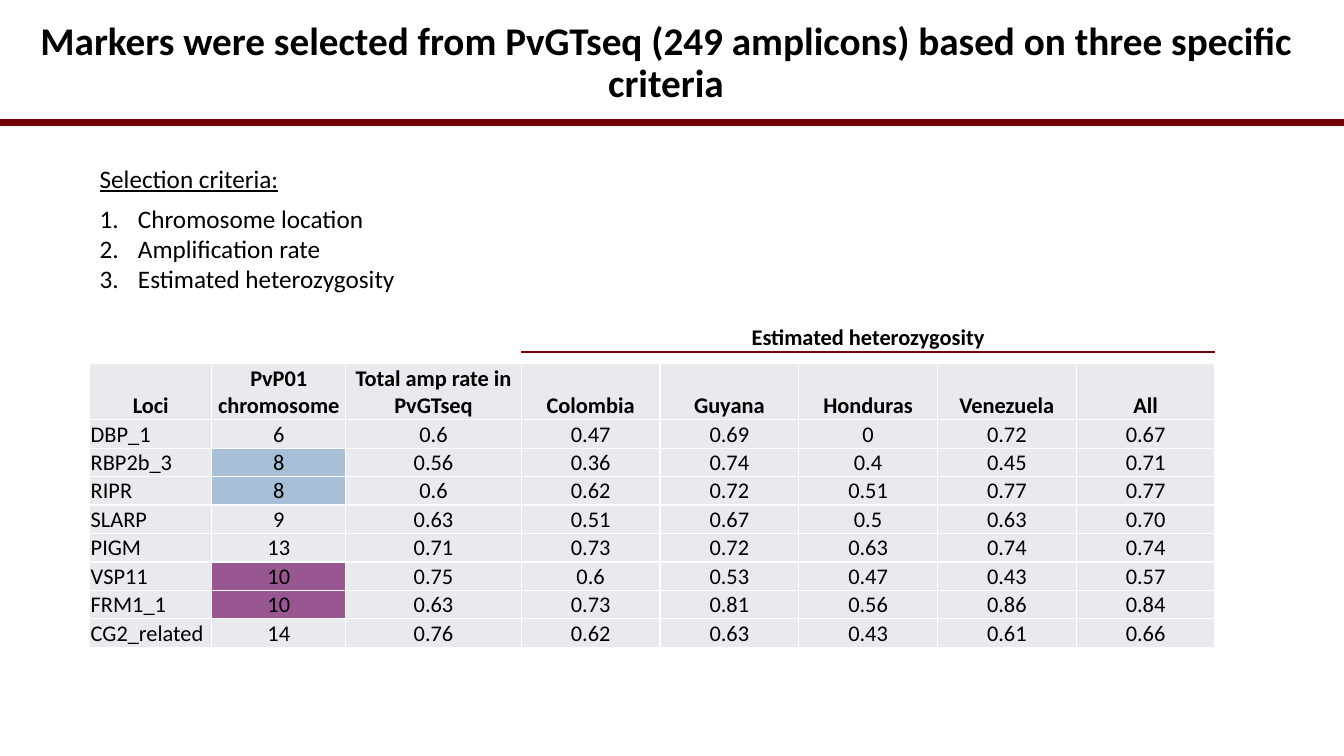
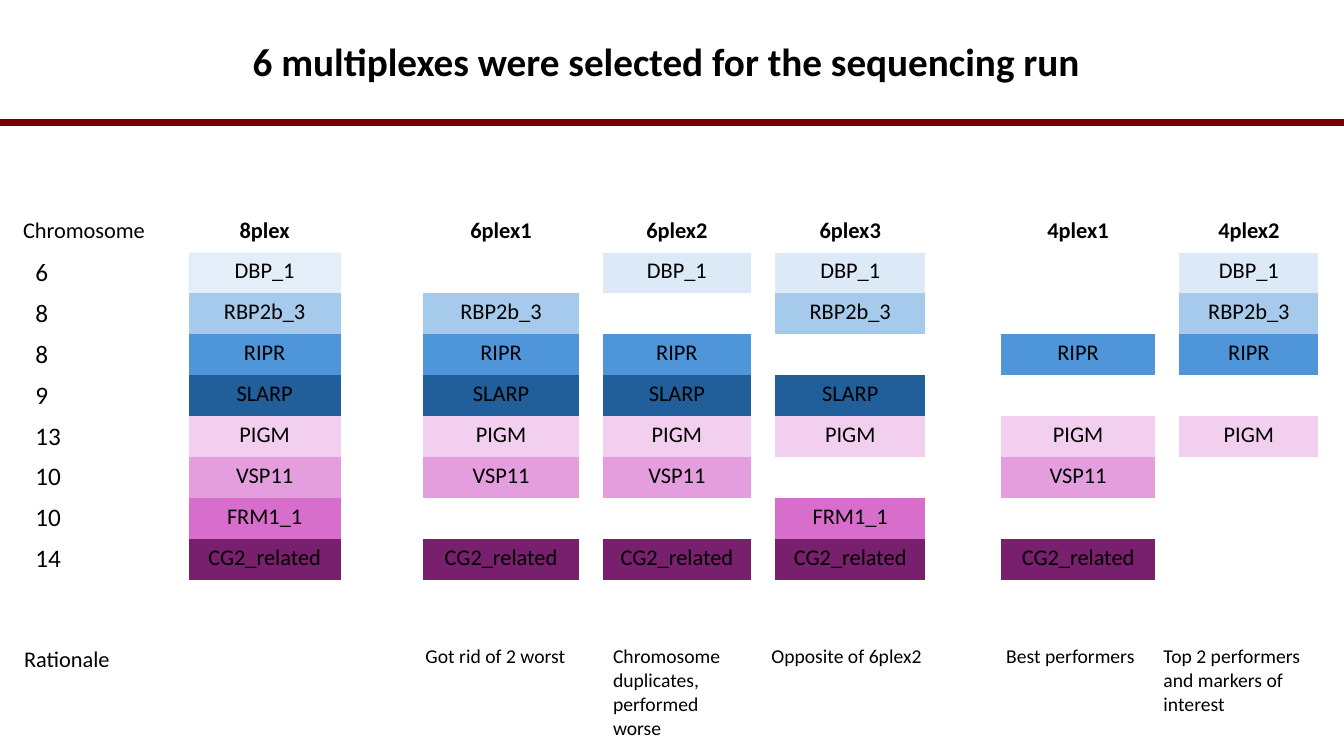
from dataclasses import dataclass
from itertools import accumulate

from lxml.etree import SubElement
from pptx import Presentation
from pptx.dml.color import RGBColor
from pptx.enum.shapes import MSO_CONNECTOR, MSO_SHAPE
from pptx.enum.text import MSO_ANCHOR, MSO_AUTO_SIZE, PP_ALIGN
from pptx.oxml.ns import qn
from pptx.util import Inches, Pt

SLIDE_WIDTH, SLIDE_HEIGHT = 13.33, 7.5
FONT = "Calibri"
PLAIN_TABLE_STYLE = "{2D5ABB26-0587-4C30-8999-92F81FD0307C}"
BLACK = RGBColor(0x00, 0x00, 0x00)
WHITE = RGBColor(0xFF, 0xFF, 0xFF)
MAROON = RGBColor(0x75, 0x00, 0x04)
CELL_GREY = RGBColor(0xE8, 0xEA, 0xED)
ICE = RGBColor(0xDC, 0xEA, 0xF7)
SKY = RGBColor(0xA6, 0xCA, 0xEC)
BLUE = RGBColor(0x4E, 0x95, 0xD9)
NAVY = RGBColor(0x21, 0x5F, 0x9A)
BLUSH = RGBColor(0xF2, 0xCF, 0xEE)
PINK = RGBColor(0xE5, 0x9E, 0xDD)
ORCHID = RGBColor(0xD8, 0x6E, 0xCC)
PLUM = RGBColor(0x78, 0x20, 0x6E)


@dataclass
class Box:
    """A rectangle on the slide, in inches."""

    left: float
    top: float
    width: float
    height: float

    def lengths(self):
        """Return the rectangle as python-pptx lengths."""
        return [Inches(v) for v in (self.left, self.top, self.width, self.height)]


@dataclass
class Locus:
    """A marker with its chromosome, colour and rates."""

    name: str
    chromosome: str
    color: RGBColor
    rates: str


@dataclass
class Multiplex:
    """A set of markers, drawn as one column after a gap."""

    name: str
    gap: float
    width: float
    loci: str


LOCI = [
    Locus("DBP_1", "6", ICE, "0.6 0.47 0.69 0 0.72 0.67"),
    Locus("RBP2b_3", "8", SKY, "0.56 0.36 0.74 0.4 0.45 0.71"),
    Locus("RIPR", "8", BLUE, "0.6 0.62 0.72 0.51 0.77 0.77"),
    Locus("SLARP", "9", NAVY, "0.63 0.51 0.67 0.5 0.63 0.70"),
    Locus("PIGM", "13", BLUSH, "0.71 0.73 0.72 0.63 0.74 0.74"),
    Locus("VSP11", "10", PINK, "0.75 0.6 0.53 0.47 0.43 0.57"),
    Locus("FRM1_1", "10", ORCHID, "0.63 0.73 0.81 0.56 0.86 0.84"),
    Locus("CG2_related", "14", PLUM, "0.76 0.62 0.63 0.43 0.61 0.66"),
]
DUPLICATE_FILLS = {"8": (NAVY, 40), "10": (PLUM, 75)}
HEADERS = ["Loci", "PvP01 chromosome", "Total amp rate in PvGTseq",
           "Colombia", "Guyana", "Honduras", "Venezuela", "All"]
MULTIPLEXES = [
    Multiplex("8plex", 0, 1.51, "DBP_1 RBP2b_3 RIPR SLARP PIGM VSP11 FRM1_1 CG2_related"),
    Multiplex("6plex1", 0.82, 1.54, "RBP2b_3 RIPR SLARP PIGM VSP11 CG2_related"),
    Multiplex("6plex2", 0.23, 1.47, "DBP_1 RIPR SLARP PIGM VSP11 CG2_related"),
    Multiplex("6plex3", 0.23, 1.49, "DBP_1 RBP2b_3 SLARP PIGM FRM1_1 CG2_related"),
    Multiplex("4plex1", 0.75, 1.53, "RIPR PIGM VSP11 CG2_related"),
    Multiplex("4plex2", 0.23, 1.38, "DBP_1 RBP2b_3 RIPR PIGM"),
]
RATIONALES = [
    ("Got rid of 2 worst", 1.86),
    ("Chromosome duplicates, performed worse", 1.57),
    ("Opposite of 6plex2", 2.33),
    ("Best performers", 1.56),
    ("Top 2 performers and markers of interest", 1.6),
]


def style_paragraph(paragraph, size, bold=False, align=PP_ALIGN.LEFT):
    """Give a paragraph the deck's font."""
    paragraph.alignment = align
    paragraph.font.name = FONT
    paragraph.font.size = Pt(size)
    paragraph.font.bold = bold
    paragraph.font.color.rgb = BLACK


def add_titled_slide(presentation, title):
    """Add a slide with the shared title and band."""
    slide = presentation.slides.add_slide(presentation.slide_layouts[5])
    placeholder = slide.shapes.title
    placeholder.left, placeholder.top, placeholder.width, placeholder.height = Box(
        0.29, 0.12, 12.63, 1.03).lengths()
    frame = placeholder.text_frame
    frame.text = title
    frame.auto_size = MSO_AUTO_SIZE.NONE
    frame.vertical_anchor = MSO_ANCHOR.MIDDLE
    frame.paragraphs[0].line_spacing = 0.9
    style_paragraph(frame.paragraphs[0], 28, True, PP_ALIGN.CENTER)
    band = slide.shapes.add_shape(MSO_SHAPE.RECTANGLE, *Box(0, 1.19, SLIDE_WIDTH, 0.05).lengths())
    band.shadow.inherit = False
    band.fill.solid()
    band.fill.fore_color.rgb = MAROON
    band.line.color.rgb = MAROON
    band.line.width = Pt(1.5)
    return slide


def add_label(slide, box, text, bold=False, align=PP_ALIGN.LEFT):
    """Add a one-line label."""
    frame = slide.shapes.add_textbox(*box.lengths()).text_frame
    frame.word_wrap = True
    frame.text = text
    style_paragraph(frame.paragraphs[0], 16, bold, align)


def add_plain_table(slide, box, widths, heights):
    """Add an unstyled table with the given column and row sizes."""
    table = slide.shapes.add_table(len(heights), len(widths), *box.lengths()).table
    table.first_row = table.horz_banding = False
    table._tbl.tblPr.find(qn("a:tableStyleId")).text = PLAIN_TABLE_STYLE
    for column, width in zip(table.columns, widths):
        column.width = Inches(width)
    for row, height in zip(table.rows, heights):
        row.height = Inches(height)
    return table


def write_cell(cell, text, size, bold=False, align=PP_ALIGN.LEFT):
    """Put one styled paragraph in a cell."""
    cell.text = text
    style_paragraph(cell.text_frame.paragraphs[0], size, bold, align)


def fill_cell(cell, color, opacity=100):
    """Fill a cell, see-through below full opacity."""
    cell.fill.solid()
    cell.fill.fore_color.rgb = color
    if opacity < 100:
        solid = cell._tc.tcPr.find(qn("a:solidFill"))
        SubElement(solid[0], qn("a:alpha"), val=str(opacity * 1000))


def border_cell(cell, color):
    """Draw a one-point line on each side of a cell."""
    properties = cell._tc.get_or_add_tcPr()
    for side in ("lnL", "lnR", "lnT", "lnB"):
        line = SubElement(properties, qn(f"a:{side}"), w=str(Pt(1)))
        SubElement(SubElement(line, qn("a:solidFill")), qn("a:srgbClr"), val=str(color))


def add_criteria(slide, box):
    """Add the underlined heading and numbered criteria."""
    frame = slide.shapes.add_textbox(*box.lengths()).text_frame
    frame.word_wrap = True
    heading = frame.paragraphs[0]
    heading.text = "Selection criteria:"
    heading.space_after = Pt(7)
    style_paragraph(heading, 18)
    heading.font.underline = True
    for criterion in ("Chromosome location", "Amplification rate", "Estimated heterozygosity"):
        paragraph = frame.add_paragraph()
        paragraph.text = criterion
        properties = paragraph._p.get_or_add_pPr()
        properties.set("marL", str(Inches(0.38)))
        properties.set("indent", str(-Inches(0.38)))
        SubElement(properties, qn("a:buFont"), typeface="+mj-lt")
        SubElement(properties, qn("a:buAutoNum"), type="arabicPeriod")
        style_paragraph(paragraph, 18)


def add_loci_table(slide, box):
    """Add the marker table with its spanning heading and rule."""
    lead_widths = [1.21, 1.33, 1.74]
    lead = sum(lead_widths)
    span = box.width - lead
    countries = len(HEADERS) - len(lead_widths)
    header_height = 0.55
    row_height = (box.height - header_height) / len(LOCI)
    table = add_plain_table(slide, box, lead_widths + [span / countries] * countries,
                            [header_height] + [row_height] * len(LOCI))
    rows = [HEADERS] + [[locus.name, locus.chromosome, *locus.rates.split()] for locus in LOCI]
    for r, texts in enumerate(rows):
        for c, text in enumerate(texts):
            cell = table.cell(r, c)
            cell.margin_left = cell.margin_right = cell.margin_top = Inches(0.01)
            cell.margin_bottom = 0
            cell.vertical_anchor = MSO_ANCHOR.BOTTOM
            align = PP_ALIGN.LEFT if r and c == 0 else PP_ALIGN.CENTER
            write_cell(cell, text, 16, r == 0, align)
            border_cell(cell, WHITE)
            fill_cell(cell, *(DUPLICATE_FILLS.get(text, (CELL_GREY,)) if c == 1 else (CELL_GREY,)))
    left = box.left + lead
    add_label(slide, Box(left, box.top - 0.45, span, 0.37), "Estimated heterozygosity",
              True, PP_ALIGN.CENTER)
    y = Inches(box.top - 0.12)
    rule = slide.shapes.add_connector(MSO_CONNECTOR.STRAIGHT, Inches(left), y,
                                      Inches(left + span), y)
    rule.line.color.rgb = MAROON
    rule.line.width = Pt(1.5)
    SubElement(rule._element.spPr, qn("a:effectLst"))


def add_multiplex_table(slide, box):
    """Add one column of coloured markers for each multiplex."""
    widths = [w for plex in MULTIPLEXES for w in (plex.gap, plex.width)][1:]
    row_height = box.height / (len(LOCI) + 1)
    table = add_plain_table(slide, box, widths, [row_height] * (len(LOCI) + 1))
    for index, plex in enumerate(MULTIPLEXES):
        column = 2 * index
        write_cell(table.cell(0, column), plex.name, 16, True, PP_ALIGN.CENTER)
        for r, locus in enumerate(LOCI, 1):
            if locus.name in plex.loci.split():
                cell = table.cell(r, column)
                write_cell(cell, locus.name, 16, align=PP_ALIGN.CENTER)
                fill_cell(cell, locus.color, 80 if r == 1 and index == 0 else 100)


def add_chromosomes(slide, box):
    """Add the chromosome heading and its column of numbers."""
    row_height = box.height / (len(LOCI) + 1)
    add_label(slide, Box(box.left, box.top, box.width, 0.37), "Chromosome")
    numbers = Box(box.left + 0.12, box.top + row_height, box.width, box.height - row_height)
    table = add_plain_table(slide, numbers, [box.width], [row_height] * len(LOCI))
    for r, locus in enumerate(LOCI):
        write_cell(table.cell(r, 0), locus.chromosome, 18)


def add_rationales(slide, box):
    """Add the rationale label and the reasons beside it."""
    add_label(slide, Box(box.left, box.top, 1.61, 0.37), "Rationale")
    widths = [width for _, width in RATIONALES]
    left = box.left + box.width - list(accumulate(widths))[-1]
    table = add_plain_table(slide, Box(left, box.top, sum(widths), box.height),
                            widths, [box.height])
    for c, (reason, _) in enumerate(RATIONALES):
        write_cell(table.cell(0, c), reason, 14)


def build_criteria_slide(presentation):
    """Build the slide on how markers were selected."""
    slide = add_titled_slide(
        presentation,
        "Markers were selected from PvGTseq (249 amplicons) based on three specific criteria")
    add_loci_table(slide, Box(0.89, 3.61, 11.16, 2.81))
    add_criteria(slide, Box(0.89, 1.57, 6.08, 1.41))


def build_multiplex_slide(presentation):
    """Build the slide on the chosen multiplexes."""
    slide = add_titled_slide(presentation, "6 multiplexes were selected for the sequencing run")
    top, height = 2.1, 3.65
    add_multiplex_table(slide, Box(1.87, top, 11.18, height))
    add_chromosomes(slide, Box(0.13, top, 1.49, height))
    add_rationales(slide, Box(0.14, 6.35, 12.9, 0.8))


def main():
    """Build and save the presentation."""
    presentation = Presentation()
    presentation.slide_width = Inches(SLIDE_WIDTH)
    presentation.slide_height = Inches(SLIDE_HEIGHT)
    build_criteria_slide(presentation)
    build_multiplex_slide(presentation)
    presentation.save("out.pptx")


if __name__ == "__main__":
    main()
